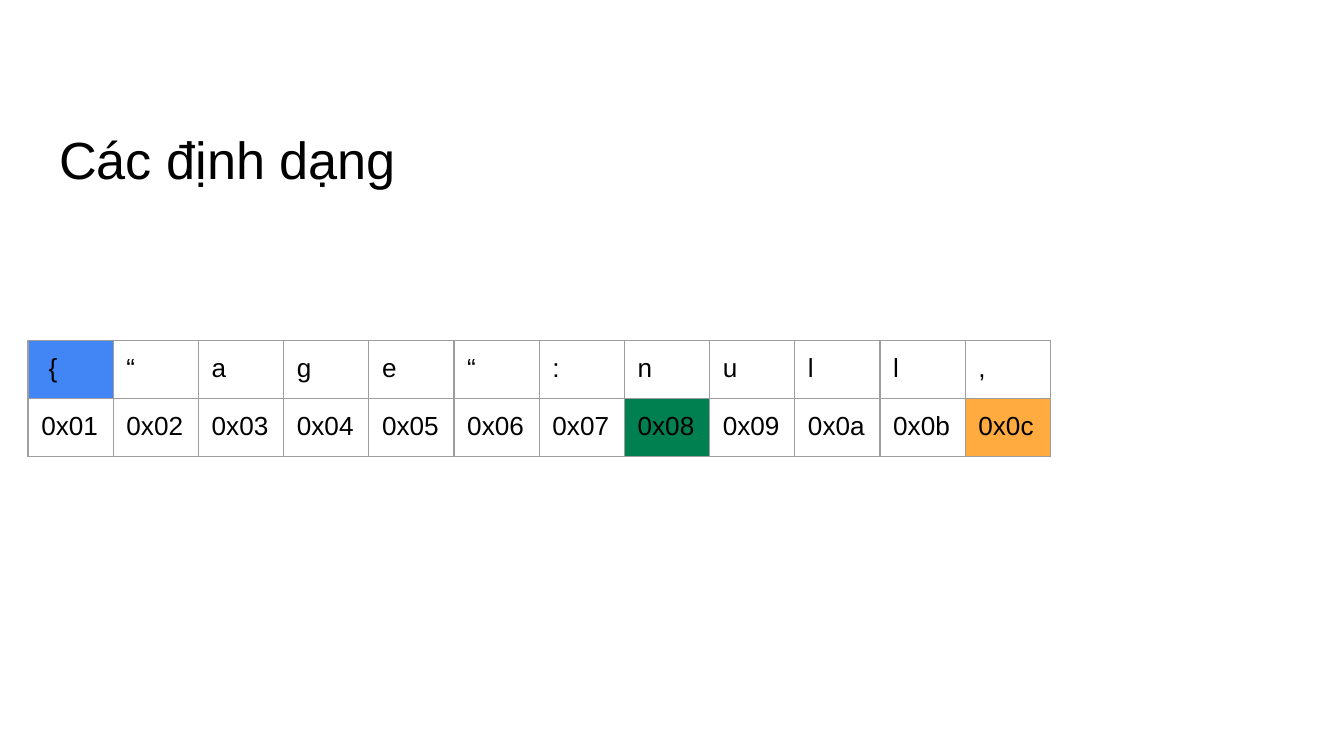
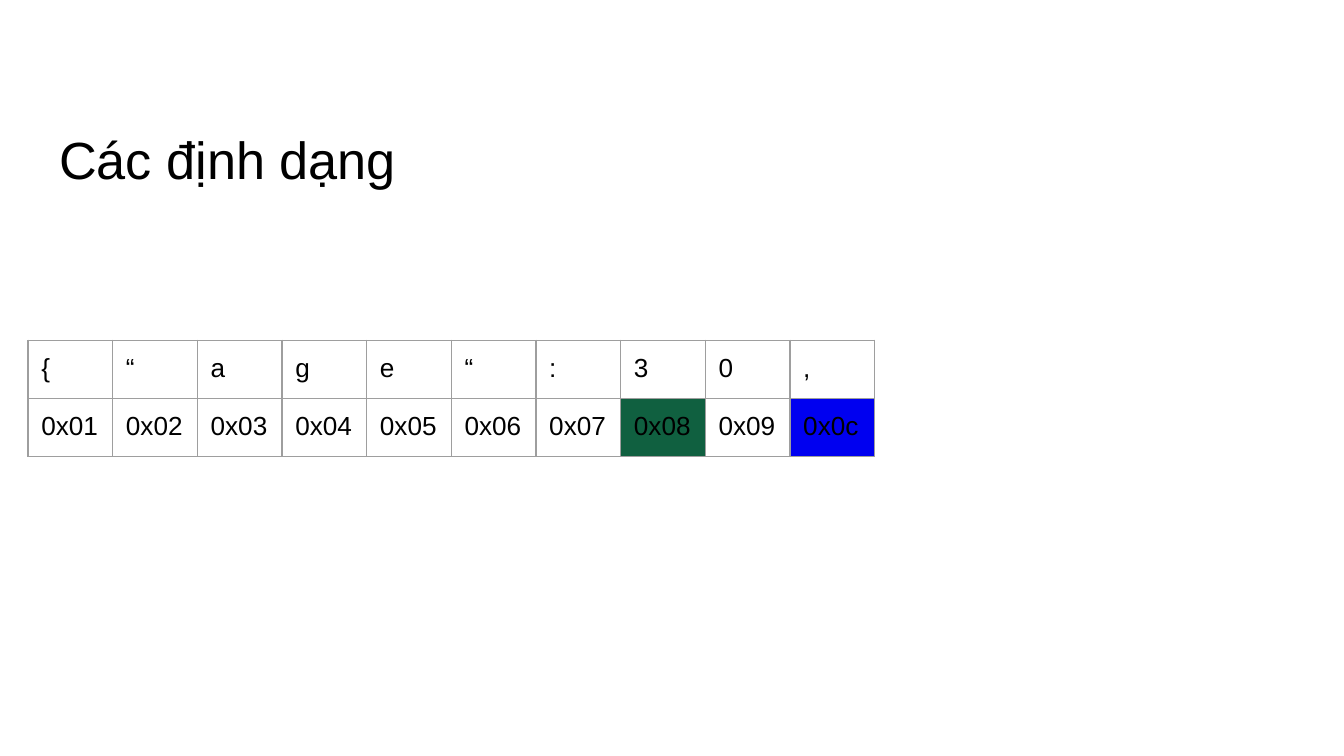
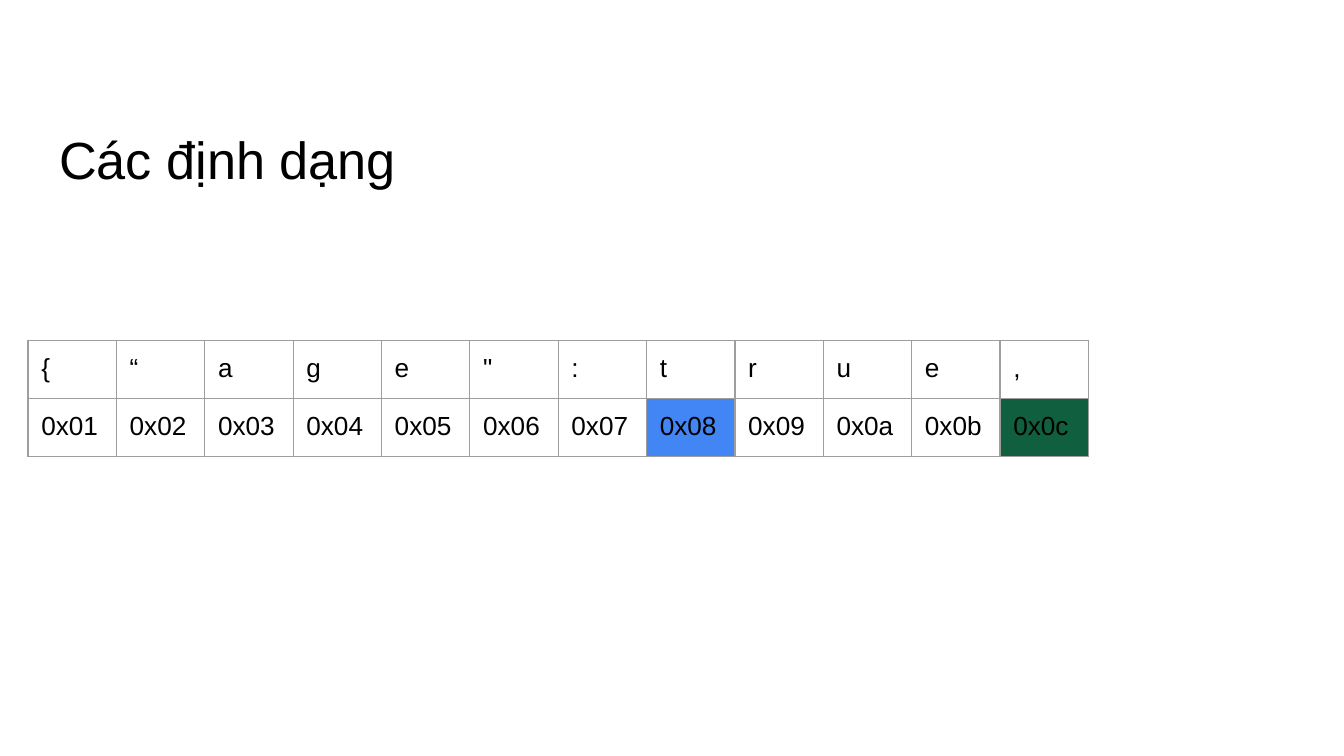
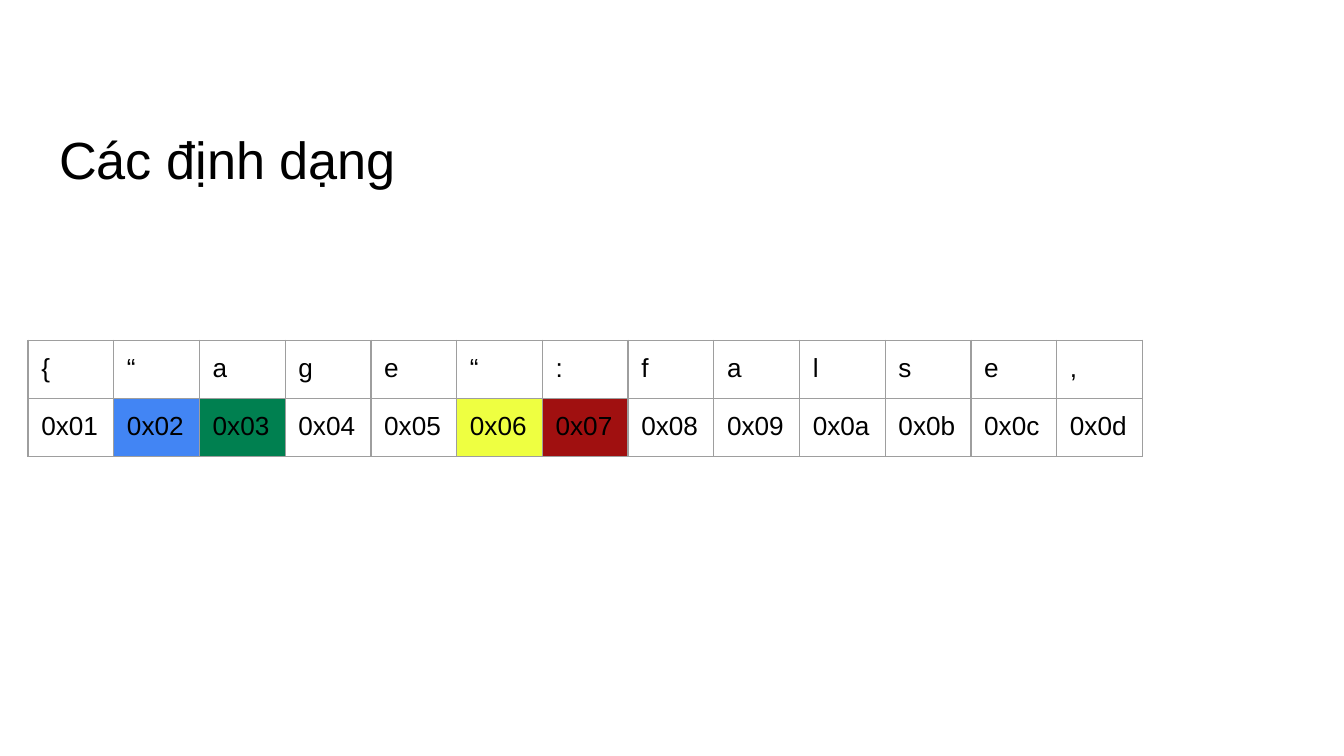
"""Builds four slides that show JSON text beside its byte addresses."""
from lxml import etree
from pptx import Presentation
from pptx import util as u
from pptx.dml.color import RGBColor
from pptx.enum import text
from pptx.oxml import ns

WHITE = RGBColor(0xFF, 0xFF, 0xFF)
BLACK = RGBColor(0x00, 0x00, 0x00)
GREY = RGBColor(0x9E, 0x9E, 0x9E)
SKY = RGBColor(0x42, 0x85, 0xF4)
GREEN = RGBColor(0x00, 0x80, 0x50)
FOREST = RGBColor(0x10, 0x60, 0x40)
ORANGE = RGBColor(0xFF, 0xAB, 0x40)
BLUE = RGBColor(0x00, 0x00, 0xF0)
YELLOW = RGBColor(0xEE, 0xFF, 0x41)
RED = RGBColor(0xA0, 0x10, 0x10)

FONT = "Arial"
TITLE = "Các định dạng"
INSET = u.Cm(0.25)
ROW_HEIGHT = u.Cm(1.1)
BORDER_WIDTH = u.Pt(0.75)
CHARACTER_ROW, ADDRESS_ROW = 0, 1


def addresses(count):
    """Return consecutive hexadecimal byte addresses from 0x01."""
    return [f"0x{number:02x}" for number in range(1, count + 1)]


def add_span(para, words, size):
    """Append one black run to a paragraph."""
    span = para.add_run()
    span.text = words
    span.font.name = FONT
    span.font.size = u.Pt(size)
    span.font.color.rgb = BLACK


def set_insets(target):
    """Give a text frame or a table cell equal insets."""
    target.margin_left = target.margin_right = INSET
    target.margin_top = target.margin_bottom = INSET


def add_title(page):
    """Add the shared slide title."""
    box = page.shapes.add_textbox(u.Cm(0.87), u.Cm(2.06), u.Cm(23.67), u.Cm(1.78))
    frame = box.text_frame
    frame.word_wrap = True
    frame.vertical_anchor = text.MSO_ANCHOR.BOTTOM
    set_insets(frame)
    add_span(frame.paragraphs[0], TITLE, 28)


def add_borders(cell):
    """Draw a thin grey line on each side of a cell."""
    properties = cell._tc.get_or_add_tcPr()
    for position, side in enumerate(("lnL", "lnR", "lnT", "lnB")):
        line = etree.Element(ns.qn(f"a:{side}"), w=str(BORDER_WIDTH))
        fill = etree.SubElement(line, ns.qn("a:solidFill"))
        etree.SubElement(fill, ns.qn("a:srgbClr"), val=str(GREY))
        properties.insert(position, line)


def style_cell(cell, words, color):
    """Write and style one table cell."""
    set_insets(cell)
    add_span(cell.text_frame.paragraphs[0], words, 14)
    cell.fill.solid()
    cell.fill.fore_color.rgb = color
    add_borders(cell)


def add_byte_table(page, characters, labels, column_width, highlights):
    """Add a table of characters above their byte addresses."""
    rows = (characters, labels)
    width = u.Cm(column_width)
    frame = page.shapes.add_table(
        len(rows), len(labels), u.Cm(0.53), u.Cm(6.43),
        width * len(labels), ROW_HEIGHT * len(rows))
    table = frame.table
    table.first_row = table.horz_banding = False
    for column in table.columns:
        column.width = width
    for row_index, row in enumerate(rows):
        table.rows[row_index].height = ROW_HEIGHT
        for column_index, words in enumerate(row):
            color = highlights.get((row_index, column_index), WHITE)
            style_cell(table.cell(row_index, column_index), words, color)


def main():
    """Build and save the deck."""
    deck = Presentation()
    deck.slide_width, deck.slide_height = u.Cm(25.4), u.Cm(14.29)
    examples = (
        ([" {", *"“age“:null,"], addresses(12), 1.61,
         {(CHARACTER_ROW, 0): SKY, (ADDRESS_ROW, 7): GREEN, (ADDRESS_ROW, 11): ORANGE}),
        ("{“age“:30,", [*addresses(9), "0x0c"], 1.6,
         {(ADDRESS_ROW, 7): FOREST, (ADDRESS_ROW, 9): BLUE}),
        ("{“age\":true,", addresses(12), 1.67,
         {(ADDRESS_ROW, 7): SKY, (ADDRESS_ROW, 11): FOREST}),
        ("{“age“:false,", addresses(13), 1.62,
         {(ADDRESS_ROW, 1): SKY, (ADDRESS_ROW, 2): GREEN,
          (ADDRESS_ROW, 5): YELLOW, (ADDRESS_ROW, 6): RED}),
    )
    for example in examples:
        page = deck.slides.add_slide(deck.slide_layouts[6])
        add_title(page)
        add_byte_table(page, *example)
    deck.save("out.pptx")


if __name__ == "__main__":
    main()
